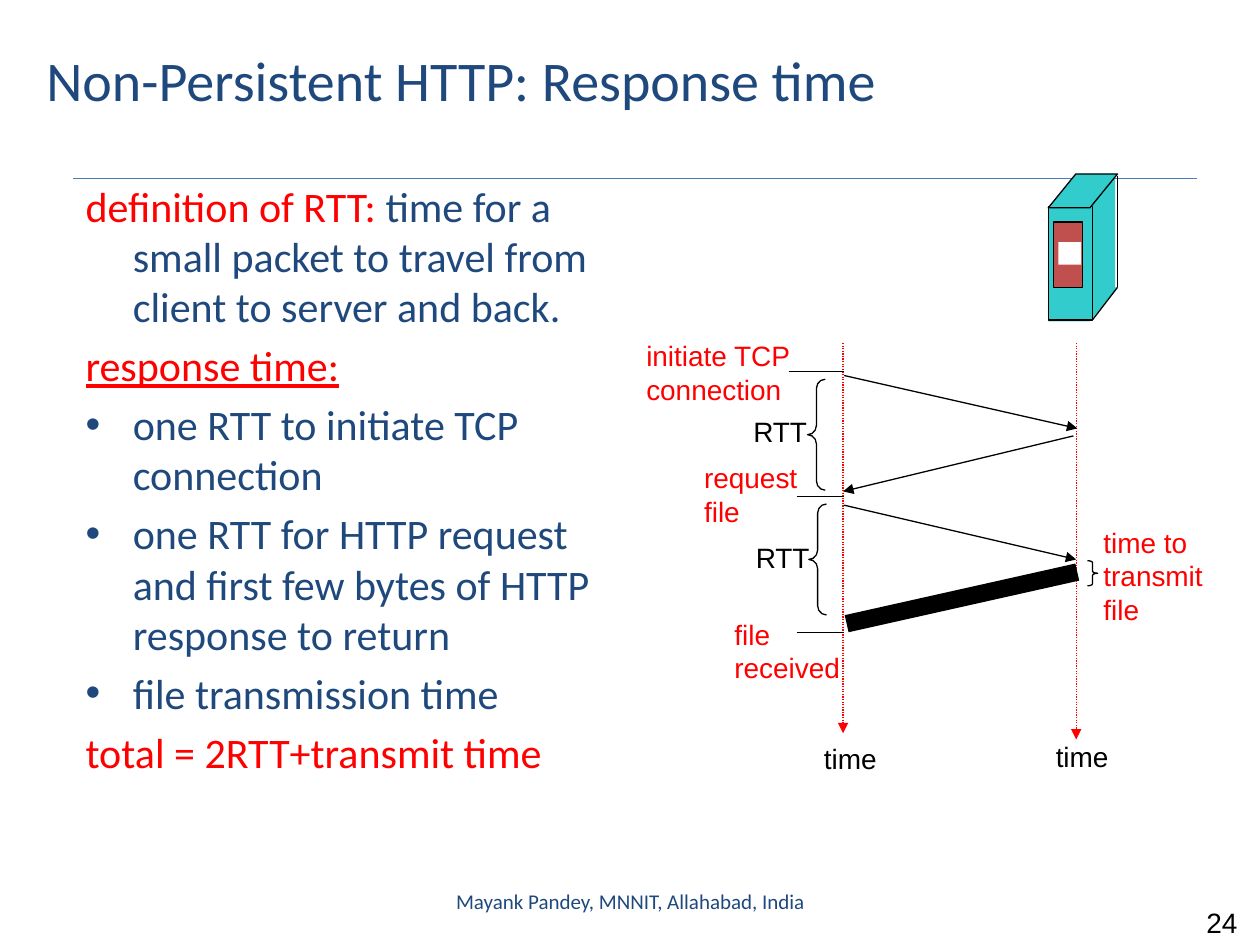
from lxml.etree import SubElement
from pptx import Presentation
from pptx.dml.color import RGBColor
from pptx.enum.dml import MSO_LINE
from pptx.enum.shapes import MSO_CONNECTOR, MSO_SHAPE
from pptx.enum.text import MSO_ANCHOR, MSO_AUTO_SIZE, PP_ALIGN
from pptx.oxml.ns import qn
from pptx.util import Pt

HUES = {"navy": "1F497D", "red": "FF0000", "black": "000000", "white": "FFFFFF",
        "teal": "33CCCC", "brick": "C0504D", "rule": "4B7EBC"}
HEAD = {"name": "Calibri", "size": Pt(32)}
BODY = {"name": "Calibri", "size": Pt(24)}
FOOT = {"name": "Calibri", "size": Pt(12)}
LABEL = {"name": "Arial", "size": Pt(16)}


def hue(name):
    """Return the colour of a given name."""
    return RGBColor.from_string(HUES[name])


def add_run(para, text, color, form):
    """Add one formatted run to a paragraph."""
    run = para.add_run()
    run.text = text
    for key, value in form.items():
        setattr(run.font, key, value)
    run.font.color.rgb = hue(color)


def add_text(slide, box, lines, color, form, frame_form, align=PP_ALIGN.LEFT):
    """Place a text box with one paragraph for each line."""
    frame = slide.shapes.add_textbox(*map(Pt, box)).text_frame
    for key, value in frame_form.items():
        setattr(frame, key, value)
    for i, line in enumerate(lines):
        para = frame.add_paragraph() if i else frame.paragraphs[0]
        para.alignment = align
        add_run(para, line, color, form)


def add_line(slide, box, ends, color="black", width=0.75, arrow=False, dash=None):
    """Draw a line between two points measured from the box corner."""
    left, top = box[:2]
    x1, y1, x2, y2 = ends
    line = slide.shapes.add_connector(
        MSO_CONNECTOR.STRAIGHT, Pt(left + x1), Pt(top + y1), Pt(left + x2), Pt(top + y2))
    line.line.color.rgb = hue(color)
    line.line.width = Pt(width)
    if dash:
        line.line.dash_style = dash
    if arrow:
        SubElement(line.line._get_or_add_ln(), qn("a:tailEnd"), type="triangle")
    SubElement(line._element.spPr, qn("a:effectLst"))


def add_form(slide, box, kind, part, fill=None, edge=None, bends=()):
    """Draw a preset shape measured from the box corner."""
    x, y, wide, high = part
    form = slide.shapes.add_shape(
        kind, Pt(box[0] + x), Pt(box[1] + y), Pt(wide), Pt(high))
    form.shadow.inherit = False
    for i, bend in enumerate(bends):
        form.adjustments[i] = bend
    if fill:
        form.fill.solid()
        form.fill.fore_color.rgb = hue(fill)
    else:
        form.fill.background()
    if edge:
        form.line.color.rgb = hue(edge)
        form.line.width = Pt(0.75)
    else:
        form.line.fill.background()


def add_head(slide, box):
    """Place the title and the rule below it."""
    add_text(slide, box, ["Non-Persistent HTTP: Response time"], "navy", HEAD,
             {"word_wrap": True, "vertical_anchor": MSO_ANCHOR.MIDDLE})
    add_line(slide, box, (22.3, 102.2, 664.6, 102.2), "rule")


def add_body(slide, box):
    """Place the definitions and the bullet list."""
    items = [
        (False, [("definition of RTT:", "red", False),
                 (" time for a small packet to travel from client to server and back.",
                  "navy", False)]),
        (False, [("response time:", "red", True)]),
        (True, [("one RTT to initiate TCP connection", "navy", False)]),
        (True, [("one RTT for HTTP request and first few bytes of HTTP response to return",
                 "navy", False)]),
        (True, [("file transmission time", "navy", False)]),
        (False, [("total = 2RTT+transmit time", "red", False)]),
    ]
    frame = slide.shapes.add_textbox(*map(Pt, box)).text_frame
    frame.word_wrap = True
    for i, (dot, runs) in enumerate(items):
        para = frame.add_paragraph() if i else frame.paragraphs[0]
        para.space_before = Pt(4.8 if i else 0)
        props = para._p.get_or_add_pPr()
        props.set("marL", str(Pt(27)))
        props.set("indent", str(Pt(-27)))
        if dot:
            SubElement(props, qn("a:buFont"), typeface="Arial")
            SubElement(props, qn("a:buChar"), char="•")
        else:
            SubElement(props, qn("a:buNone"))
        for text, color, under in runs:
            add_run(para, text, color, {**BODY, "underline": under})


def add_server(slide, box):
    """Draw the server tower."""
    wide, high = box[2:]
    lid, front = 19.4, 25.2
    tall = high - lid + 0.7
    slant, rect = MSO_SHAPE.PARALLELOGRAM, MSO_SHAPE.RECTANGLE
    for kind, part, fill, edge in [
            (slant, (0, 64.8, wide, lid), "teal", None),
            (rect, (20.2, 0.7, 18, tall), "teal", None),
            (rect, (0, high - tall, front, tall), "teal", "black"),
            (slant, (0, 0, wide, lid), "teal", "black")]:
        add_form(slide, box, kind, part, fill, edge, [0.814] if kind == slant else [])
    add_line(slide, box, (wide, 1.4, wide, 64.8))
    add_line(slide, box, (wide, 64.8, front, high))
    add_form(slide, box, rect, (2.9, 27.4, 16.6, 37.4), "brick", "black")
    add_form(slide, box, rect, (5.8, 38.9, 13, 13), "white")


def add_flow(slide, box):
    """Draw the timing diagram between client and server."""
    client, server = 119.8, 253
    for x, end in [(client, 229), (server, 232.6)]:
        add_line(slide, box, (x, 6, x, end), "red", arrow=True, dash=MSO_LINE.ROUND_DOT)
    for ends in [(client + 0.6, 24.6, server + 0.6, 54.8),
                 (server - 1.6, 59.1, client, 90.8),
                 (client + 0.6, 98.7, server, 129.7)]:
        add_line(slide, box, ends, arrow=True)
    add_line(slide, box, (server + 0.6, 136.9, client + 2, 166.4), width=10)
    for x, y in [(88.7, 22.4), (93.4, 93.7), (93.4, 171.4)]:
        add_line(slide, box, (x, y, client + 0.4, y))
    for kind, part, bend in [
            (MSO_SHAPE.RIGHT_BRACE, (259.4, 130.4, 5.8, 14.4), 0.204),
            (MSO_SHAPE.LEFT_BRACE, (99.5, 26.7, 10.1, 63.4), 0.521),
            (MSO_SHAPE.LEFT_BRACE, (100.2, 98, 10.1, 63.4), 0.521)]:
        add_form(slide, box, kind, part, edge="black", bends=[bend, 0.5])
    labels = [
        (261.5, 106.6, 76.3, "red", ["time to", "transmit", "file"]),
        (0.2, 0.1, 97.2, "red", ["initiate TCP", "connection"]),
        (61.4, 43.3, 45.4, "black", ["RTT"]),
        (33.3, 69.9, 67.7, "red", ["request", "file"]),
        (62.8, 115.3, 45.4, "black", ["RTT"]),
        (50.6, 159.2, 74.9, "red", ["file", "received"]),
        (101.7, 230.5, 44.6, "black", ["time"]),
        (234.2, 229, 44.6, "black", ["time"]),
    ]
    for x, y, wide, color, lines in labels:
        add_text(slide, (box[0] + x, box[1] + y, wide, 7.4 + 19.2 * len(lines)),
                 lines, color, LABEL,
                 {"word_wrap": False, "auto_size": MSO_AUTO_SIZE.SHAPE_TO_FIT_TEXT})


def add_foot(slide, box):
    """Place the page number and the footer."""
    left, top = box[:2]
    add_text(slide, (left + 353.5, top + 13.7, 114.5, 22.3), ["24"], "black", LABEL,
             {"word_wrap": True}, PP_ALIGN.RIGHT)
    add_text(slide, (left, top, 228.2, 28.8), ["Mayank Pandey, MNNIT, Allahabad, India"],
             "navy", FOOT, {"word_wrap": True, "vertical_anchor": MSO_ANCHOR.MIDDLE},
             PP_ALIGN.CENTER)


def main():
    """Build the slide and save it."""
    deck = Presentation()
    deck.slide_width, deck.slide_height = Pt(720), Pt(540)
    slide = deck.slides.add_slide(deck.slide_layouts[6])
    add_head(slide, (19.4, 0, 647.3, 90))
    add_body(slide, (41.8, 99.4, 321.8, 365.8))
    add_server(slide, (599, 99.4, 39.6, 83.5))
    add_flow(slide, (362, 190, 338, 267))
    add_foot(slide, (246.2, 500.4, 468, 36))
    deck.save("out.pptx")


if __name__ == "__main__":
    main()
